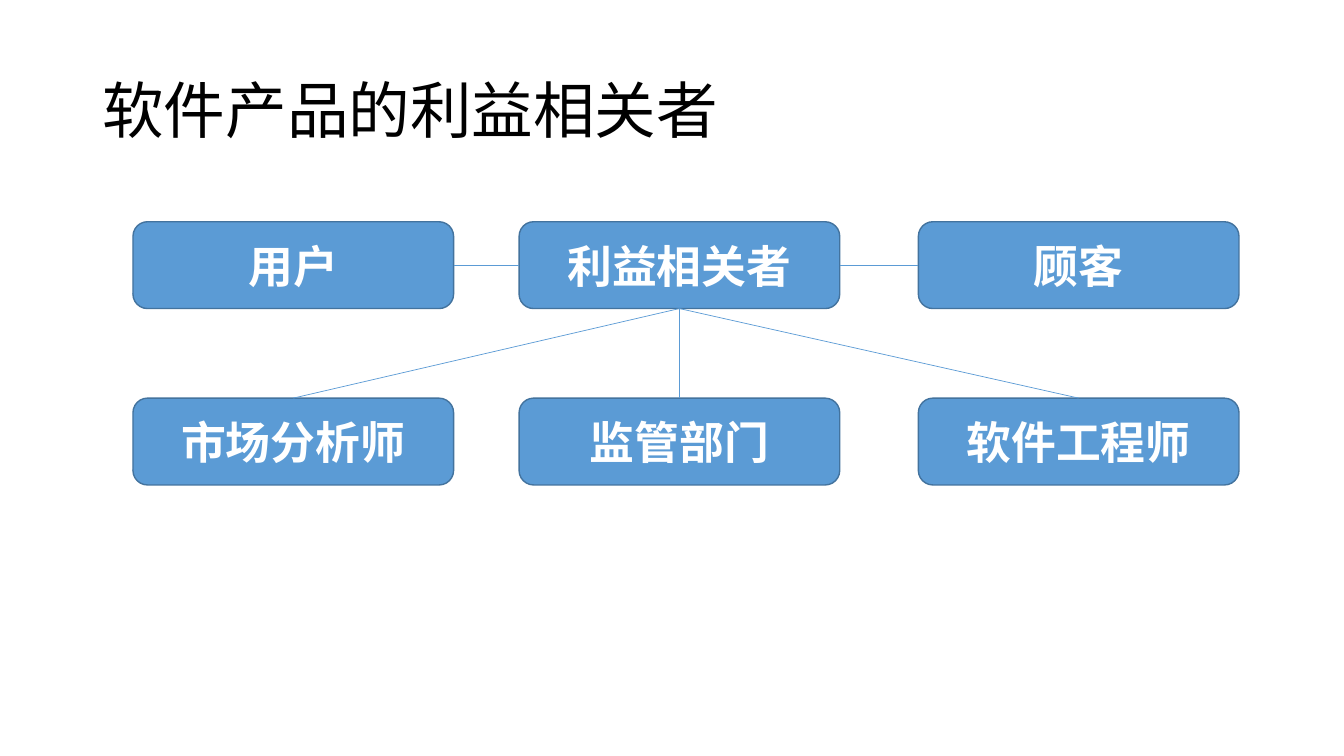
from lxml.etree import SubElement
from pptx import Presentation
from pptx.dml.color import RGBColor
from pptx.enum.shapes import MSO_CONNECTOR, MSO_SHAPE
from pptx.enum.text import MSO_ANCHOR, PP_ALIGN
from pptx.oxml.ns import qn
from pptx.util import Pt

COLUMNS = (95, 370.8, 656)
ROWS = (158.4, 284.4)
BOX_WIDTH, BOX_HEIGHT = 229, 62
LABELS = (("用户", "利益相关者", "顾客"), ("市场分析师", "监管部门", "软件工程师"))
TOP, LEFT, BOTTOM, RIGHT = range(4)


def color(value):
    return RGBColor.from_string(value)


class StakeholderSlide:
    """Draws titles, boxes and links in one style on the current slide."""

    title_format = {"name": "Calibri", "size": Pt(44), "bold": False}
    box_format = {"name": "Calibri", "size": Pt(32), "bold": True}
    fill, outline, link_color = "5B9BD5", "43739E", "5B9BD5"

    def __init__(self, page):
        self.shapes = page.shapes

    def set_text(self, shape, text, font_format, text_color, alignment, spacing=1.0):
        frame = shape.text_frame
        frame.word_wrap = True
        frame.vertical_anchor = MSO_ANCHOR.MIDDLE
        para = frame.paragraphs[0]
        para.alignment = alignment
        para.line_spacing = spacing
        span = para.add_run()
        span.text = text
        for name, value in font_format.items():
            setattr(span.font, name, value)
        span.font.color.rgb = color(text_color)

    def title(self, text, left, top, width, height):
        box = self.shapes.add_textbox(Pt(left), Pt(top), Pt(width), Pt(height))
        self.set_text(box, text, self.title_format, "000000", PP_ALIGN.LEFT, 0.9)

    def box(self, text, left, top):
        box = self.shapes.add_shape(
            MSO_SHAPE.ROUNDED_RECTANGLE, Pt(left), Pt(top), Pt(BOX_WIDTH), Pt(BOX_HEIGHT)
        )
        box.shadow.inherit = False
        box.fill.solid()
        box.fill.fore_color.rgb = color(self.fill)
        box.line.color.rgb = color(self.outline)
        box.line.width = Pt(1)
        self.set_text(box, text, self.box_format, "FFFFFF", PP_ALIGN.CENTER)
        return box

    def link(self, start, start_side, end, end_side):
        line = self.shapes.add_connector(MSO_CONNECTOR.STRAIGHT, Pt(0), Pt(0), Pt(0), Pt(0))
        line.begin_connect(start, start_side)
        line.end_connect(end, end_side)
        line.line.color.rgb = color(self.link_color)
        line.line.width = Pt(0.5)
        SubElement(line._element.spPr, qn("a:effectLst"))


def main():
    deck = Presentation()
    deck.slide_width, deck.slide_height = Pt(960), Pt(540)
    page = StakeholderSlide(deck.slides.add_slide(deck.slide_layouts[6]))
    page.title("软件产品的利益相关者", 66, 28.8, 828, 104.4)
    upper, lower = [
        [page.box(text, left, top) for text, left in zip(labels, COLUMNS)]
        for labels, top in zip(LABELS, ROWS)
    ]
    user, stakeholder, customer = upper
    page.link(user, RIGHT, stakeholder, LEFT)
    page.link(stakeholder, RIGHT, customer, LEFT)
    for role in lower:
        page.link(stakeholder, BOTTOM, role, TOP)
    deck.save("out.pptx")


if __name__ == "__main__":
    main()
